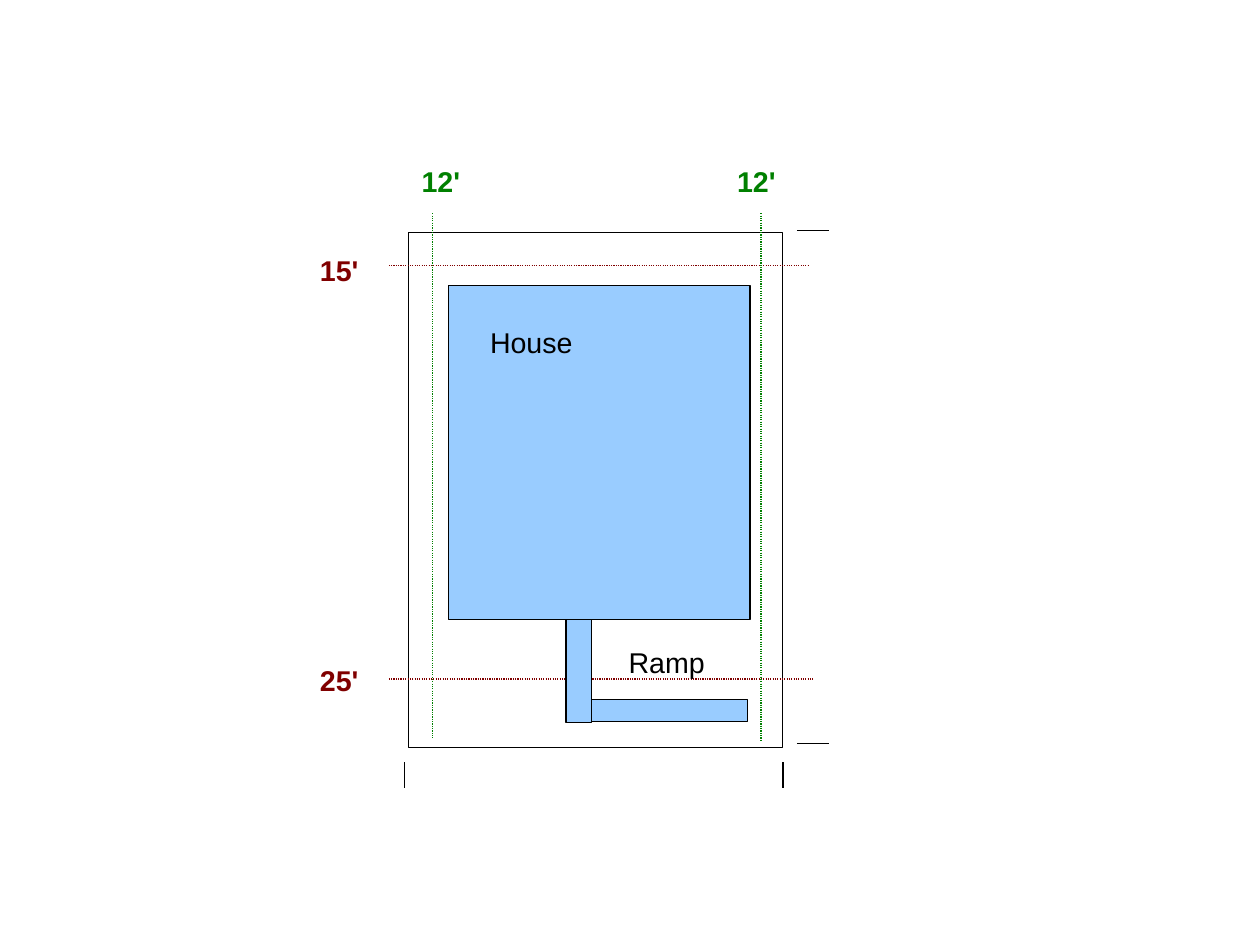
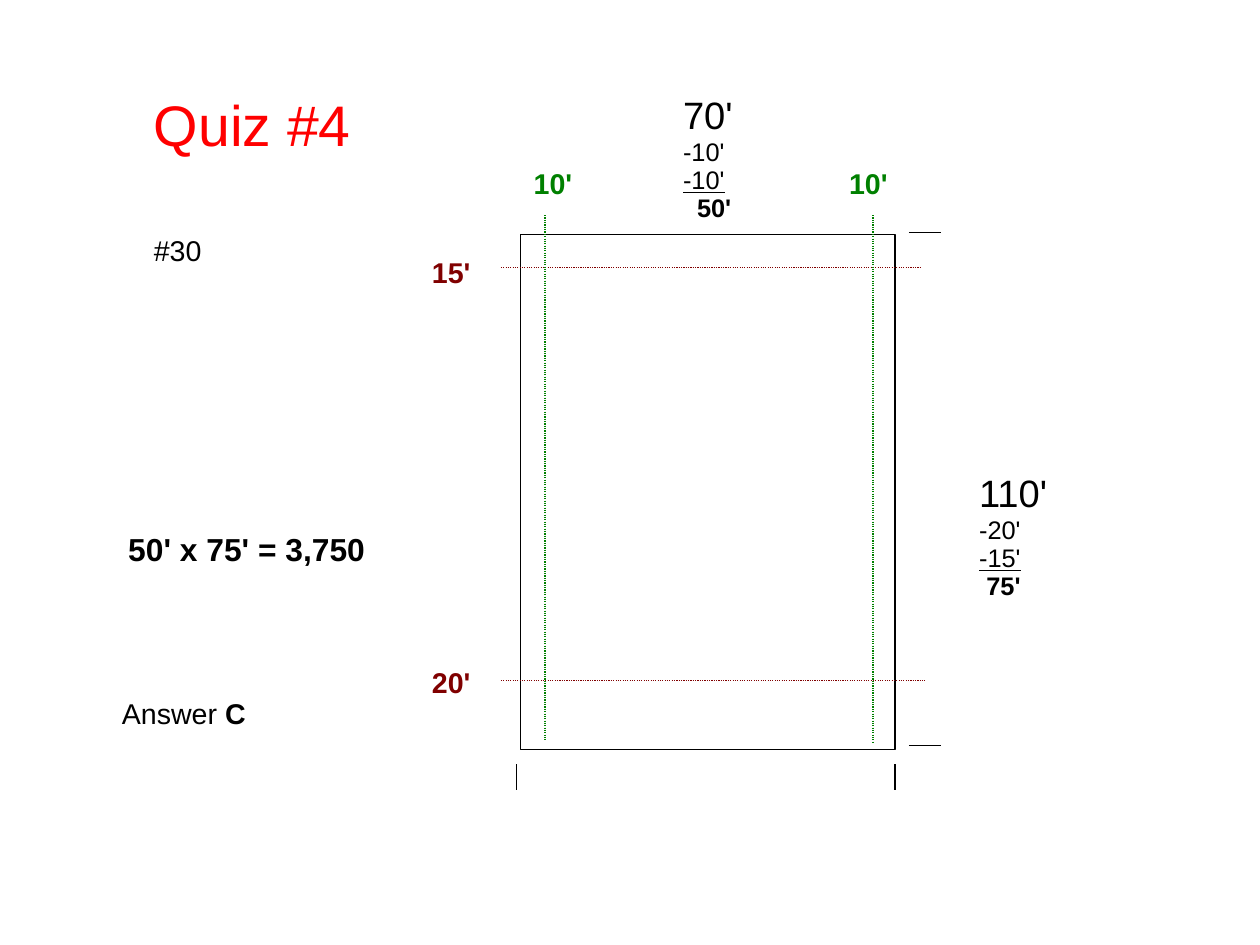
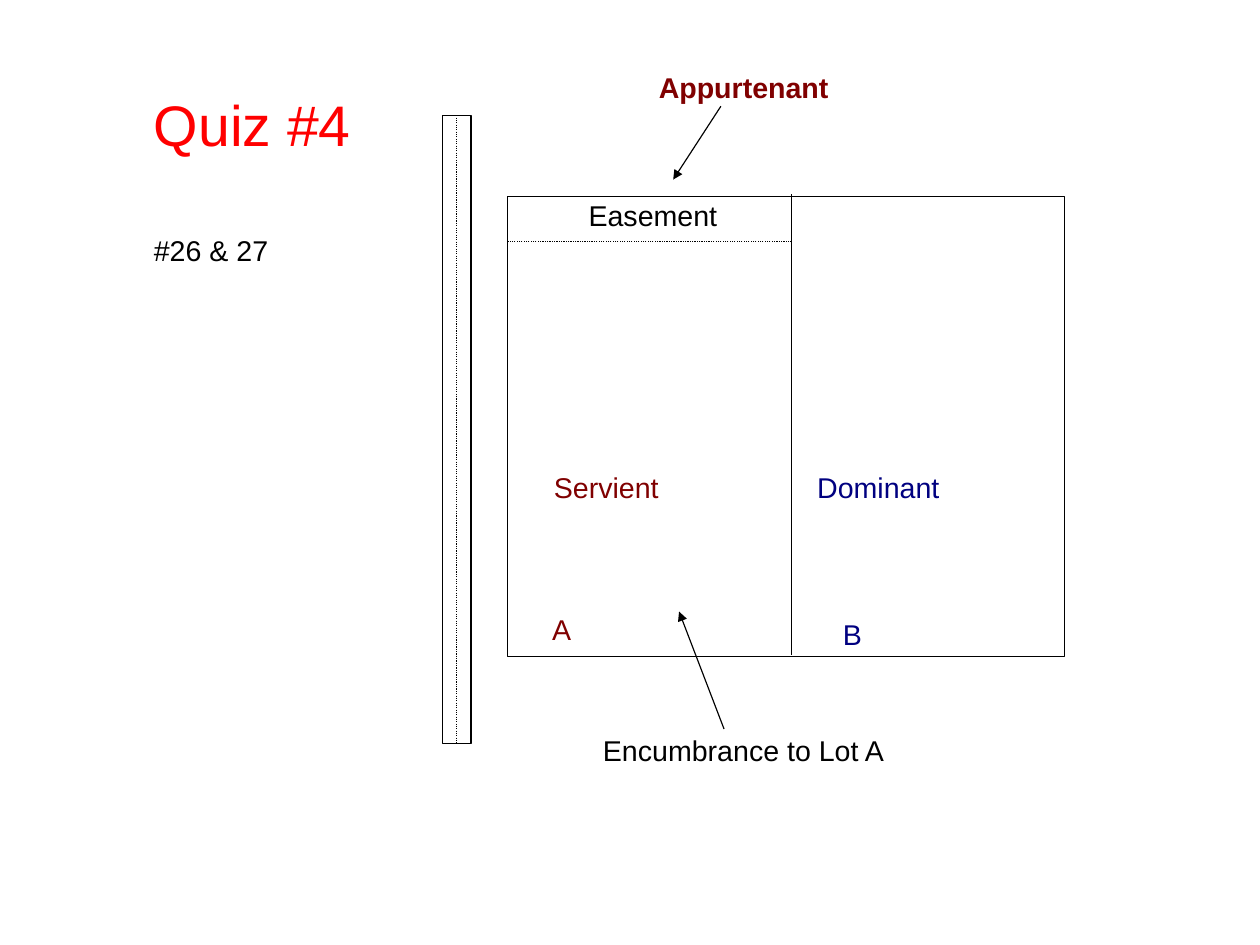
from dataclasses import dataclass

from lxml import etree
from pptx import Presentation
from pptx.dml.color import RGBColor
from pptx.enum.dml import MSO_LINE
from pptx.enum.shapes import MSO_CONNECTOR, MSO_SHAPE
from pptx.oxml.ns import qn
from pptx.util import Cm, Pt

RECTANGLE = MSO_SHAPE.RECTANGLE
STRAIGHT = MSO_CONNECTOR.STRAIGHT
DOTTED = MSO_LINE.ROUND_DOT  # written as sysDot
TOP, BOTTOM = 0, 2


@dataclass(frozen=True)
class Theme:
    font: str = "Arial"
    black: str = "000000"
    white: str = "FFFFFF"
    red: str = "FF0000"
    maroon: str = "800000"
    green: str = "008000"
    navy: str = "000080"
    building: str = "99CCFF"
    title_size: int = 36
    total_size: int = 24
    result_size: int = 20
    body_size: int = 18
    step_size: int = 16
    line_width: float = 0.75
    line_spacing: float = 0.93


THEME = Theme()


@dataclass(frozen=True)
class Span:
    text: str
    size: int = THEME.body_size
    color: str = THEME.black
    bold: bool = False
    underline: bool = False


def rgb(color):
    return RGBColor.from_string(color)


def add_text(page, left, top, width, height, *paragraphs, last_indent=0):
    """Add a text box; each paragraph is a list of spans, the last may be indented."""
    box = page.shapes.add_textbox(Cm(left), Cm(top), Cm(width), Cm(height))
    frame = box.text_frame
    frame.word_wrap = False
    frame.margin_left, frame.margin_right = Cm(0.25), Cm(0)
    frame.margin_top, frame.margin_bottom = Cm(0.18), Cm(0.13)
    for index, spans in enumerate(paragraphs):
        para = frame.add_paragraph() if index else frame.paragraphs[0]
        para.line_spacing = THEME.line_spacing
        for span in spans:
            run = para.add_run()
            run.text = span.text
            font = run.font
            font.name, font.size = THEME.font, Pt(span.size)
            font.bold, font.underline = span.bold, span.underline
            font.color.rgb = rgb(span.color)
    if last_indent:
        para._p.get_or_add_pPr().set("marL", str(Cm(last_indent)))


def add_rectangle(page, left, top, width, height, fill=THEME.white):
    shape = page.shapes.add_shape(RECTANGLE, Cm(left), Cm(top), Cm(width), Cm(height))
    shape.shadow.inherit = False
    shape.fill.solid()
    shape.fill.fore_color.rgb = rgb(fill)
    shape.line.color.rgb = rgb(THEME.black)
    shape.line.width = Pt(THEME.line_width)
    return shape


def add_line(page, x1, y1, x2, y2, color=THEME.black, dotted=False, arrow=False):
    connector = page.shapes.add_connector(STRAIGHT, Cm(x1), Cm(y1), Cm(x2), Cm(y2))
    line = connector.line
    line.color.rgb = rgb(color)
    line.width = Pt(THEME.line_width)
    if dotted:
        line.dash_style = DOTTED
    properties = connector._element.spPr
    if arrow:
        etree.SubElement(properties.find(qn("a:ln")), qn("a:tailEnd"), type="triangle")
    etree.SubElement(properties, qn("a:effectLst"))
    return connector


def add_heading(page, problem, width):
    add_text(page, 3.17, 1.95, 4.88, 1.68,
             [Span("Quiz #4", THEME.title_size, THEME.red)])
    add_text(page, 3.17, 5.06, width, 0.97, [Span(problem)])


def add_lot(page, left, top, side, rear, front):
    """Draw a lot with its corner ticks and labelled setback lines."""
    width, height = 8.33, 11.44
    add_rectangle(page, left, top, width, height)
    for x in (left - 0.08, left + width):
        add_line(page, x, top + 12.34, x, top + 11.76)
    for y in (top - 0.04, top + 11.36):
        add_line(page, left + 8.64, y, left + 9.35, y)
    for label, offset, label_offset, end in ((front, 9.92, 9.45, 8.99),
                                             (rear, 0.73, 0.35, 8.92)):
        y = top + offset
        add_line(page, left - 0.43, y, left + end, y, THEME.maroon, dotted=True)
        add_text(page, left - 2.21, top + label_offset, 1.35, 0.99,
                 [Span(label, color=THEME.maroon, bold=True)])
    for offset, label_offset, end in ((0.55, 0.05, 11.23), (7.84, 7.06, 11.28)):
        x = left + offset
        add_line(page, x, top - 0.43, x, top + end, THEME.green, dotted=True)
        add_text(page, left + label_offset, top - 1.63, 1.35, 0.99,
                 [Span(side, color=THEME.green, bold=True)])


def add_subtraction(page, left, top, width, height, values, result_indent):
    """Stack a total, two deductions and the indented remainder."""
    total, first, second, remainder = values
    step = THEME.step_size
    add_text(page, left, top, width, height,
             [Span(total, THEME.total_size)],
             [Span(first, step)],
             [Span(second, step, underline=True)],
             [Span(remainder, step, bold=True)],
             last_indent=result_indent)


def build_house_page(page):
    add_lot(page, 9.07, 5.17, "12'", "15'", "25'")
    add_rectangle(page, 9.96, 6.35, 6.71, 7.41, THEME.building)
    add_text(page, 10.64, 7.11, 2.34, 0.97, [Span("House")])
    add_rectangle(page, 12.95, 15.54, 3.66, 0.5, THEME.building)
    add_text(page, 13.72, 14.22, 2.18, 0.97, [Span("Ramp")])
    add_rectangle(page, 12.58, 13.76, 0.56, 2.29, THEME.building)


def build_area_page(page):
    add_lot(page, 11.56, 5.21, "10'", "15'", "20'")
    add_heading(page, "#30", 1.55)
    add_subtraction(page, 14.93, 1.95, 1.75, 3.81, ("70'", "-10'", "-10'", "50'"), 0.31)
    add_subtraction(page, 21.51, 10.35, 2.01, 4.45, ("110'", "-20'", "-15'", "75'"), 0.16)
    add_text(page, 2.6, 11.66, 5.77, 1.04,
             [Span("50' x 75' = 3,750", THEME.result_size, bold=True)])
    add_text(page, 2.46, 15.35, 3.23, 0.99, [Span("Answer "), Span("C", bold=True)])


def build_easement_page(page):
    add_heading(page, "#26 & 27", 3.05)
    road = add_rectangle(page, 9.83, 2.56, 0.64, 13.97)
    center_line = add_line(page, 10.15, 2.56, 10.15, 16.53, dotted=True)
    center_line.begin_connect(road, TOP)
    center_line.end_connect(road, BOTTOM)

    add_rectangle(page, 11.28, 4.36, 12.37, 10.23)
    add_line(page, 17.59, 4.32, 17.59, 14.56)
    add_line(page, 17.59, 5.37, 11.28, 5.37, dotted=True)

    for text, left, top, width, color in (
            ("Easement", 12.83, 4.29, 3.35, THEME.black),
            ("A", 12.02, 13.49, 0.91, THEME.maroon),
            ("B", 18.48, 13.59, 0.91, THEME.navy),
            ("Servient", 12.06, 10.34, 2.95, THEME.maroon),
            ("Dominant", 17.91, 10.34, 3.32, THEME.navy),
            ("Encumbrance to Lot A", 13.15, 16.18, 6.91, THEME.black)):
        add_text(page, left, top, width, 0.97, [Span(text, color=color)])
    add_text(page, 14.39, 1.45, 4.45, 0.99,
             [Span("Appurtenant", color=THEME.maroon, bold=True)])

    add_line(page, 16.02, 2.36, 14.96, 3.99, arrow=True)
    add_line(page, 16.09, 16.2, 15.09, 13.59, arrow=True)


def main():
    deck = Presentation()
    deck.slide_width, deck.slide_height = Cm(28), Cm(21)
    blank = deck.slide_layouts[6]
    for build in (build_house_page, build_area_page, build_easement_page):
        build(deck.slides.add_slide(blank))
    deck.save("out.pptx")


if __name__ == "__main__":
    main()
